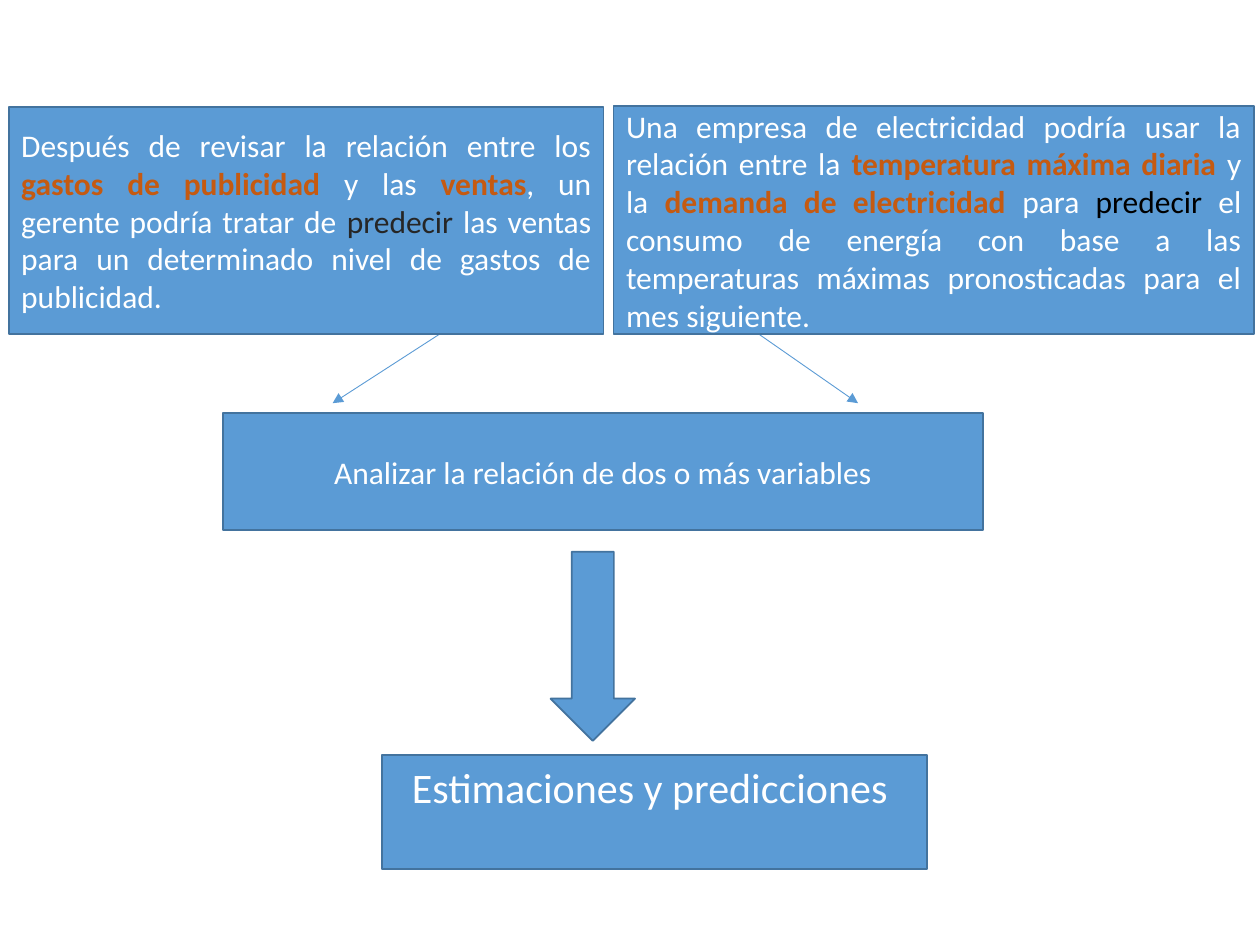
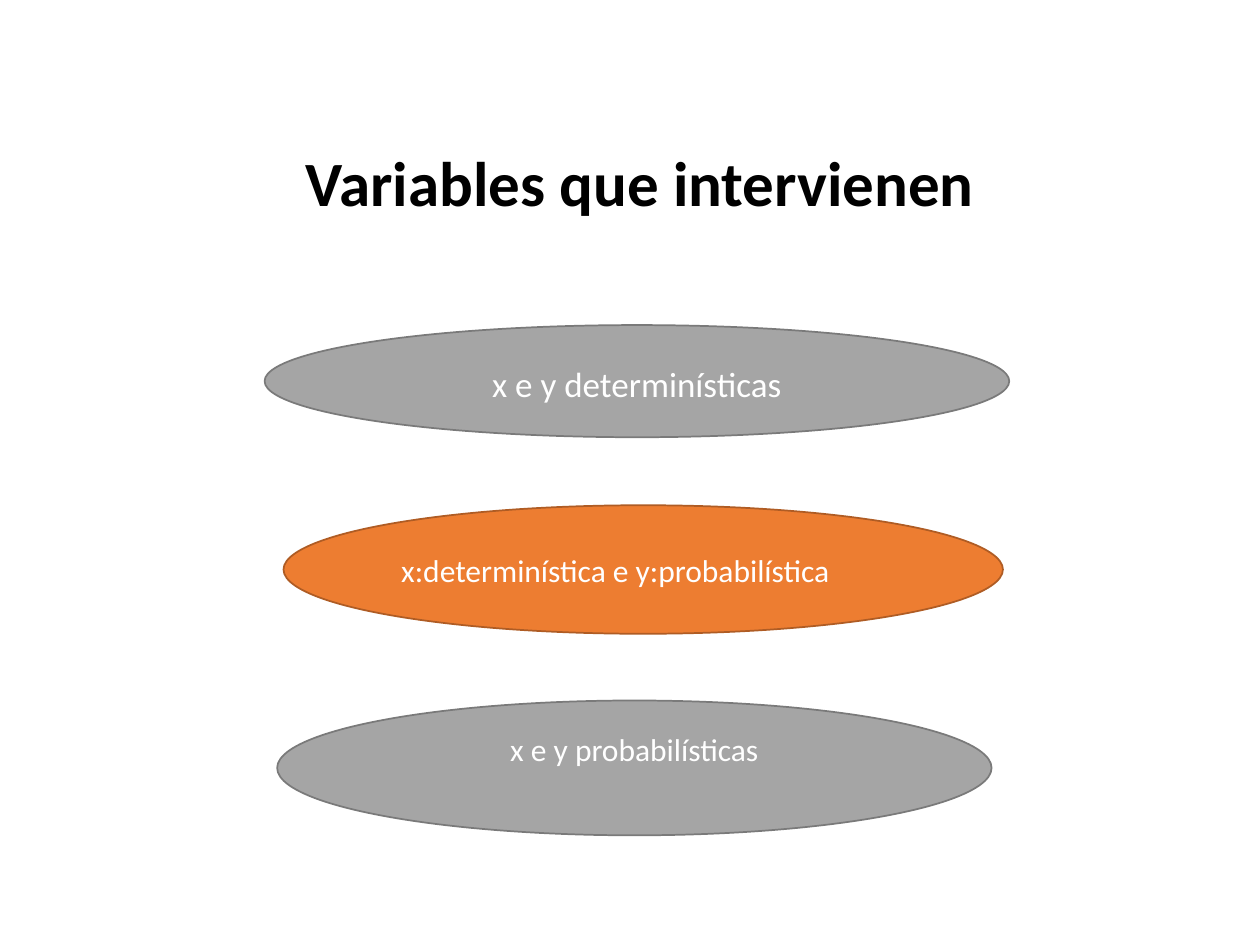
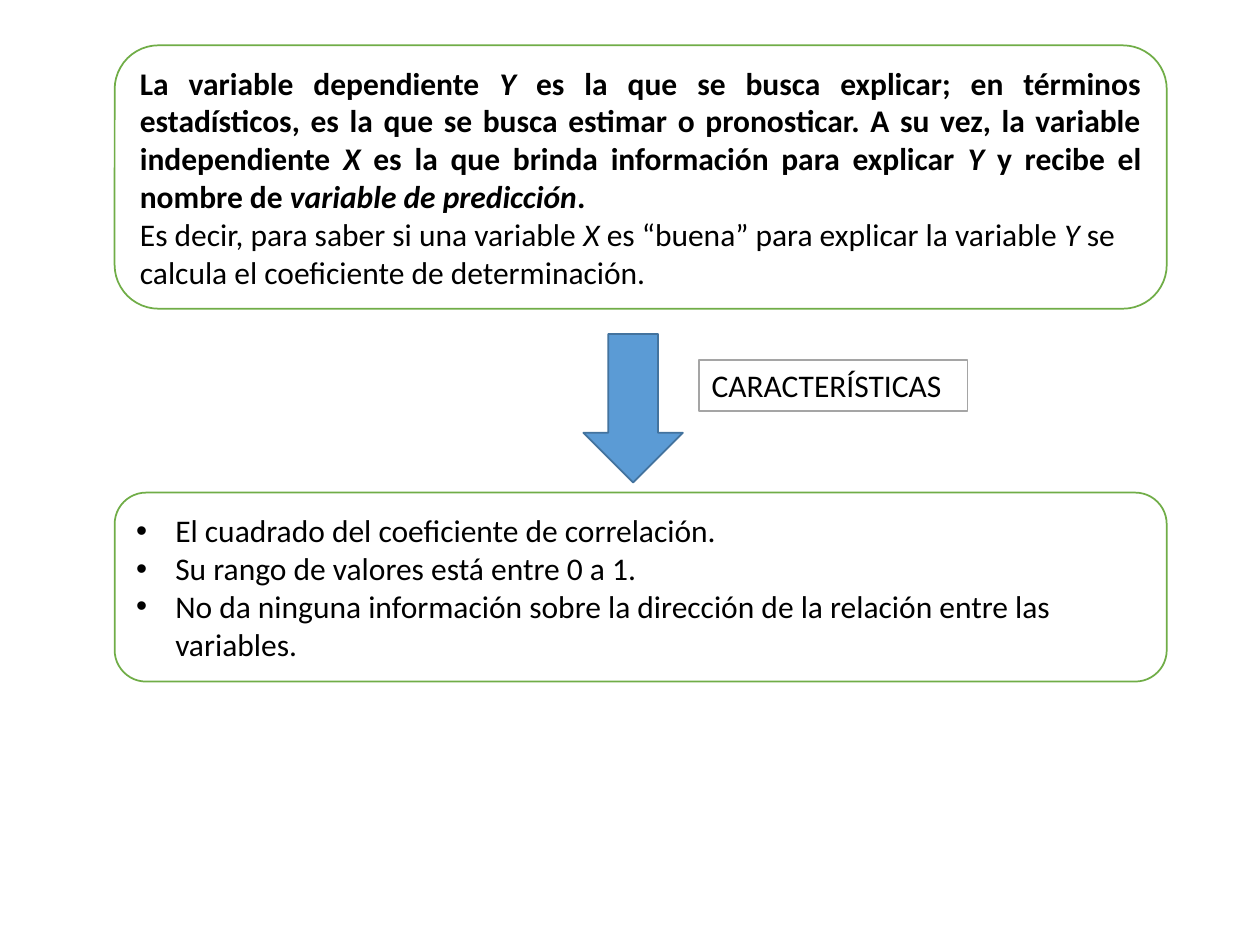
from lxml import etree
from pptx import Presentation, util as u
from pptx.dml.color import RGBColor
from pptx.enum import shapes, text
from pptx.oxml.ns import qn

# Shared look: a grid of 100 columns by 75 rows on a 10 x 7.5 inch slide
COLUMNS, ROWS = 100, 75
CELL = u.Inches(0.1)
FONT = "Calibri"
WHITE, BLACK, INK, ACCENT = "FFFFFF", "000000", "262626", "C55A11"
BLUE = ("5B9BD5", "43739E")      # fill, line
GRAY = ("A5A5A5", "7A7A7A")
ORANGE = ("ED7D31", "AF5C24")
GREEN_FRAME = ("FFFFFF", "70AD47")
GRAY_FRAME = ("FFFFFF", "A5A5A5")

KIND = shapes.MSO_SHAPE
LEFT, CENTER, JUSTIFY = (text.PP_ALIGN.LEFT, text.PP_ALIGN.CENTER,
                         text.PP_ALIGN.JUSTIFY)
MIDDLE, TOP = text.MSO_ANCHOR.MIDDLE, text.MSO_ANCHOR.TOP
INSET = 0.5                      # rows above and below a text
INDENT = 3.1                     # columns of a bullet's hanging indent

# Content: a span is plain text or (text, style)
KEY = {"color": ACCENT, "bold": True}
ITALIC = {"italic": True}

ADVERTISING = ["Después de revisar la relación entre los ",
               ("gastos de publicidad", KEY), " y las ", ("ventas", KEY),
               ", un gerente podría tratar de ", ("predecir", {"color": INK}),
               " las ventas para un determinado nivel de gastos de publicidad."]
ELECTRICITY = ["Una empresa de electricidad podría usar la relación entre la ",
               ("temperatura máxima diaria ", KEY), "y la ",
               ("demanda de electricidad ", KEY), "para ",
               ("predecir", {"color": BLACK}),
               " el consumo de energía con base a las temperaturas máximas "
               "pronosticadas para el mes siguiente."]
ANALYSIS = "Analizar la relación de dos o más variables"
OUTCOME = "Estimaciones y predicciones "

TITLE = "Variables que intervienen"
# text, place, colours, size, alignment, rows above and below the text
VARIABLE_TYPES = [
    ("x e y determinísticas", (21, 25.8, 59.1, 8.9), GRAY, 20, CENTER, (0.9, 0.5)),
    ("x:determinística e y:probabilística", (22.5, 40.1, 57.1, 10.2), ORANGE, 18,
     LEFT, (INSET, INSET)),
    ("x e y probabilísticas", (22, 55.6, 56.7, 10.7), GRAY, 18, CENTER, (0.5, 3.5)),
]

DEPENDENT = ["La variable dependiente ", ("Y ", ITALIC),
             "es la que se busca explicar; en términos estadísticos, es la que se "
             "busca estimar o pronosticar. A su vez, la variable independiente ",
             ("X ", ITALIC), "es la que brinda información para explicar ",
             ("Y ", ITALIC), "y recibe el nombre de ",
             ("variable de predicción", ITALIC), "."]
MEANING = ["Es decir, para saber si una variable ", ("X ", ITALIC),
           "es “buena” para explicar la variable ", ("Y ", ITALIC),
           "se calcula el coeficiente de determinación."]
LABEL = "CARACTERÍSTICAS"
FEATURES = ["El cuadrado del coeficiente de correlación.",
            "Su rango de valores está entre 0 a 1.",
            "No da ninguna información sobre la dirección de la relación entre "
            "las variables."]


# Helpers
def grid(*cells):
    return [u.Emu(round(cell * CELL)) for cell in cells]


def rgb(color):
    return RGBColor.from_string(color)


def set_frame(box, anchor=MIDDLE, insets=(INSET, INSET)):
    frame = box.text_frame
    frame.word_wrap = True
    frame.vertical_anchor = anchor
    frame.margin_top, frame.margin_bottom = grid(*insets)


def add_shape(page, kind, place, colors):
    box = page.shapes.add_shape(kind, *grid(*place))
    box.shadow.inherit = False
    fill, line = colors
    box.fill.solid()
    box.fill.fore_color.rgb = rgb(fill)
    box.line.color.rgb = rgb(line)
    box.line.width = u.Pt(1)
    set_frame(box)
    return box


def write(box, spans, size=18, color=WHITE, align=CENTER, bold=False, bullet=False):
    """Fill the first paragraph, or add one after the text already there."""
    frame = box.text_frame
    para = frame.add_paragraph() if frame.text else frame.paragraphs[0]
    para.alignment = align
    for item in [spans] if isinstance(spans, str) else spans:
        words, style = (item, {}) if isinstance(item, str) else item
        span = para.add_run()
        span.text = words
        span.font.name = FONT
        span.font.size = u.Pt(size)
        span.font.bold = style.get("bold", bold)
        span.font.italic = style.get("italic", False)
        span.font.color.rgb = rgb(style.get("color", color))
    if bullet:
        properties = para._p.get_or_add_pPr()
        indent = grid(INDENT)[0]
        properties.set("marL", str(indent))
        properties.set("indent", str(-indent))
        etree.SubElement(properties, qn("a:buFont"), typeface="Arial")
        etree.SubElement(properties, qn("a:buChar"), char="•")


def add_arrow(page, start, end):
    arrow = page.shapes.add_connector(shapes.MSO_CONNECTOR.STRAIGHT,
                                      *grid(*start, *end))
    arrow.line.color.rgb = rgb(BLUE[0])
    arrow.line.width = u.Pt(0.5)
    etree.SubElement(arrow.line._get_or_add_ln(), qn("a:tailEnd"), type="triangle")
    etree.SubElement(arrow._element.spPr, qn("a:effectLst"))


# Slides
def build_examples(page):
    outcome = add_shape(page, KIND.RECTANGLE, (30.3, 59.9, 43.3, 9.1), BLUE)
    set_frame(outcome, insets=(INSET, 4.5))
    write(outcome, OUTCOME, size=24)
    add_shape(page, KIND.DOWN_ARROW, (43.7, 43.8, 6.7, 15), BLUE)
    analysis = add_shape(page, KIND.RECTANGLE, (17.7, 32.8, 60.3, 9.3), BLUE)
    write(analysis, ANALYSIS)
    for start, end in ((57.9, 68.1), (37.4, 26.4)):
        add_arrow(page, (start, 24.9), (end, 32))
    for spans, place in ((ADVERTISING, (0.7, 8.5, 47.2, 18)),
                         (ELECTRICITY, (48.7, 8.4, 50.8, 18.1))):
        example = add_shape(page, KIND.RECTANGLE, place, BLUE)
        write(example, spans, align=JUSTIFY)


def build_variables(page):
    for words, place, colors, size, align, insets in VARIABLE_TYPES:
        oval = add_shape(page, KIND.OVAL, place, colors)
        set_frame(oval, insets=insets)
        write(oval, words, size=size, align=align)
    title = page.shapes.add_textbox(*grid(18.5, 4.8, 64.6, 13.1))
    set_frame(title, TOP, (6.6, INSET))
    write(title, TITLE, size=36, color=BLACK, bold=True)


def build_determination(page):
    left, width = 9.1, 83.5
    definition = add_shape(page, KIND.ROUNDED_RECTANGLE, (left, 3.6, width, 20.9),
                           GREEN_FRAME)
    write(definition, DEPENDENT, color=BLACK, align=JUSTIFY, bold=True)
    write(definition, MEANING, color=BLACK, align=LEFT)
    add_shape(page, KIND.DOWN_ARROW, (46.3, 26.5, 7.9, 11.8), BLUE)
    label = add_shape(page, KIND.RECTANGLE, (55.5, 28.6, 21.3, 4), GRAY_FRAME)
    set_frame(label, TOP)
    write(label, LABEL, color=BLACK, align=LEFT)
    features = add_shape(page, KIND.ROUNDED_RECTANGLE, (left, 39.1, width, 15),
                         GREEN_FRAME)
    for feature in FEATURES:
        write(features, feature, color=BLACK, align=LEFT, bullet=True)


def main():
    deck = Presentation()
    deck.slide_width, deck.slide_height = grid(COLUMNS, ROWS)
    for build in (build_examples, build_variables, build_determination):
        build(deck.slides.add_slide(deck.slide_layouts[6]))
    deck.save("out.pptx")


if __name__ == "__main__":
    main()
